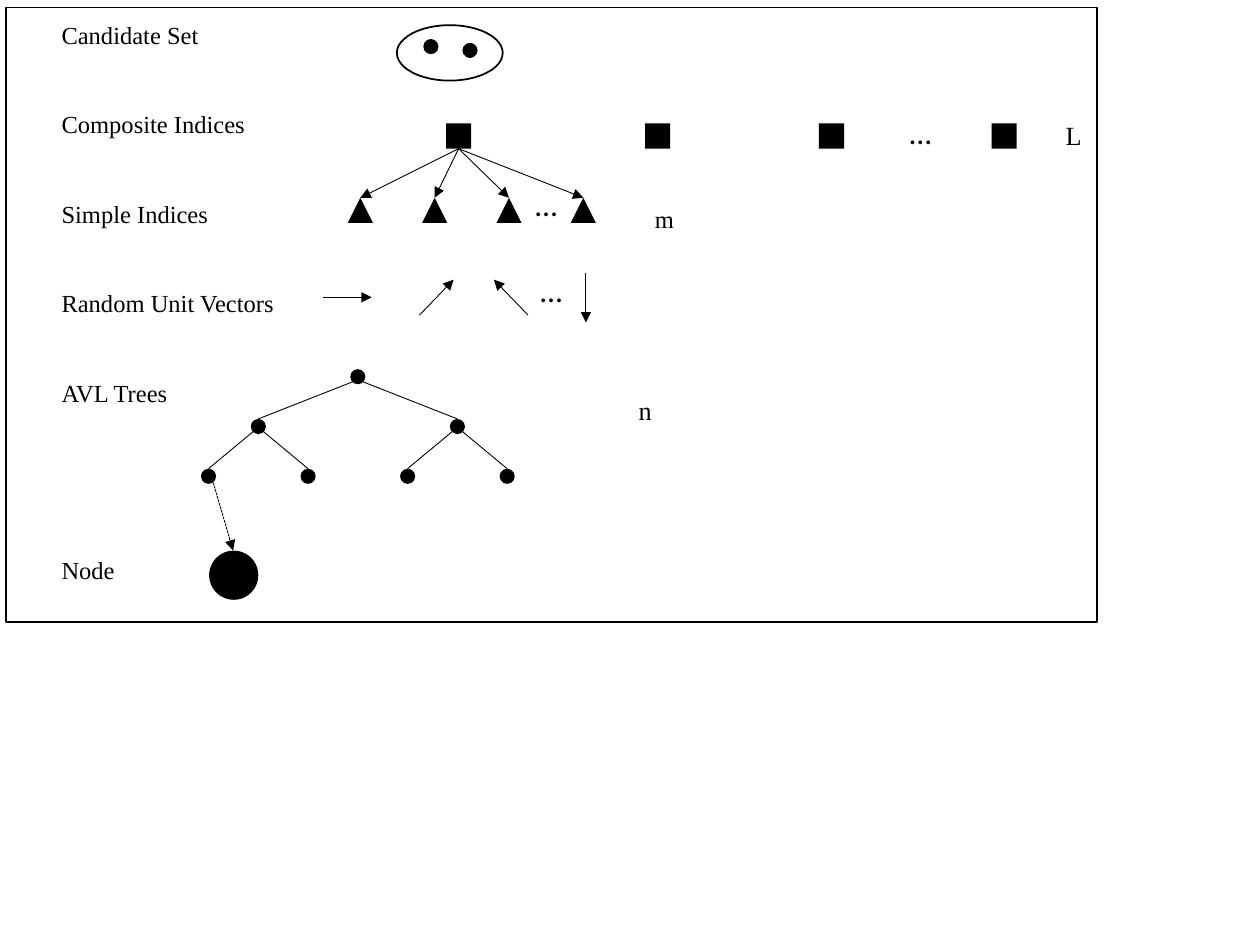
from pptx import Presentation
from pptx.dml.color import RGBColor
from pptx.enum.dml import MSO_LINE_DASH_STYLE as Dash
from pptx.enum.shapes import MSO_CONNECTOR as Connector, MSO_SHAPE as Shape
from pptx.enum.text import MSO_AUTO_SIZE as AutoSize
from pptx.oxml.ns import qn
from pptx.util import Inches, Pt
from lxml.etree import SubElement

BLACK = "000000"
SERIF = "Times New Roman"
DOT = 0.12
MARK = 0.2


def color(value):
    return RGBColor.from_string(value)


def add_filled(slide, kind, left, top, size):
    shape = slide.shapes.add_shape(kind, Inches(left), Inches(top), Inches(size), Inches(size))
    shape.shadow.inherit = False
    shape.fill.solid()
    shape.fill.fore_color.rgb = color(BLACK)
    shape.line.fill.background()


def add_outline(slide, kind, left, top, width, height):
    shape = slide.shapes.add_shape(kind, Inches(left), Inches(top), Inches(width), Inches(height))
    shape.shadow.inherit = False
    shape.fill.background()
    shape.line.color.rgb = color(BLACK)
    shape.line.width = Pt(1)


def add_line(slide, start, end, arrow=False, dash=None):
    points = [Inches(value) for value in (*start, *end)]
    connector = slide.shapes.add_connector(Connector.STRAIGHT, *points)
    connector.line.color.rgb = color(BLACK)
    connector.line.width = Pt(0.5)
    if dash is not None:
        connector.line.dash_style = dash
    if arrow:
        SubElement(connector.line._get_or_add_ln(), qn("a:tailEnd"), type="triangle")
    SubElement(connector._element.spPr, qn("a:effectLst"))


def add_text(slide, text, left, top, width, height, size, font=SERIF):
    box = slide.shapes.add_textbox(Inches(left), Inches(top), Inches(width), Inches(height))
    frame = box.text_frame
    frame.word_wrap = False
    frame.auto_size = AutoSize.SHAPE_TO_FIT_TEXT
    frame.text = text
    for paragraph in frame.paragraphs:
        paragraph.font.size = Pt(size)
        paragraph.font.name = font
        paragraph.font.color.rgb = color(BLACK)
    return frame


def add_row_labels(slide):
    labels = ("Candidate Set", "Composite Indices", "Simple Indices",
              "Random Unit Vectors", "AVL Trees", "Node")
    frame = add_text(slide, "\n".join(labels), 0.39, 0.11, 1.9, 4.58, 14)
    for paragraph in frame.paragraphs[1:]:
        paragraph.space_before = Pt(34.3)
    frame.paragraphs[-1].space_before = Pt(84.7)


def add_candidate_set(slide):
    add_outline(slide, Shape.OVAL, 3.15, 0.2, 0.84, 0.44)
    for left, top in ((3.36, 0.31), (3.67, 0.34)):
        add_filled(slide, Shape.OVAL, left, top, DOT)


def add_indices(slide):
    for left in (3.54, 5.12, 6.5, 7.87):
        add_filled(slide, Shape.RECTANGLE, left, 0.98, MARK)
    for index in range(4):
        left = 2.76 + 0.59 * index
        add_filled(slide, Shape.ISOSCELES_TRIANGLE, left, 1.57, MARK)
        add_line(slide, (3.64, 1.18), (left + MARK / 2, 1.57), arrow=True)


def add_unit_vectors(slide):
    vectors = (((2.56, 2.36), (2.95, 2.36)), ((3.33, 2.5), (3.6, 2.22)),
               ((4.19, 2.5), (3.92, 2.22)), ((4.65, 2.17), (4.65, 2.56)))
    for start, end in vectors:
        add_line(slide, start, end, arrow=True)


def add_tree(slide, x, y, spread, depth):
    """Draw a node centred at x, y and its subtrees below it."""
    add_filled(slide, Shape.OVAL, x - DOT / 2, y - DOT / 2, DOT)
    if depth == 0:
        return
    child_y = y + 0.395
    for side in (-1, 1):
        child_x = x + side * spread
        add_line(slide, (x + side * 0.04, y + 0.04), (child_x, child_y - DOT / 2))
        add_tree(slide, child_x, child_y, spread / 2, depth - 1)


def main():
    presentation = Presentation()
    presentation.slide_width = Inches(10)
    presentation.slide_height = Inches(7.5)
    slide = presentation.slides.add_slide(presentation.slide_layouts[6])

    # Rows from top to bottom
    add_row_labels(slide)
    add_candidate_set(slide)
    add_indices(slide)
    add_unit_vectors(slide)
    add_tree(slide, 2.84, 2.99, 0.79, 2)

    # Enlarged node
    add_filled(slide, Shape.OVAL, 1.66, 4.37, 0.39)
    add_line(slide, (1.66, 3.72), (1.85, 4.37), arrow=True, dash=Dash.SQUARE_DOT)

    # Counts and ellipses
    add_text(slide, "n", 4.97, 3.08, 0.31, 0.35, 15)
    add_text(slide, "L", 8.36, 0.9, 0.34, 0.35, 15)
    add_text(slide, "m", 5.1, 1.57, 0.36, 0.34, 14)
    for left, top in ((7.12, 0.85), (4.19, 2.1), (4.15, 1.42)):
        add_text(slide, "…", left, top, 0.38, 0.4, 18, "Calibri")

    # Frame
    add_outline(slide, Shape.RECTANGLE, 0.05, 0.06, 8.66, 4.88)
    presentation.save("out.pptx")


if __name__ == "__main__":
    main()
